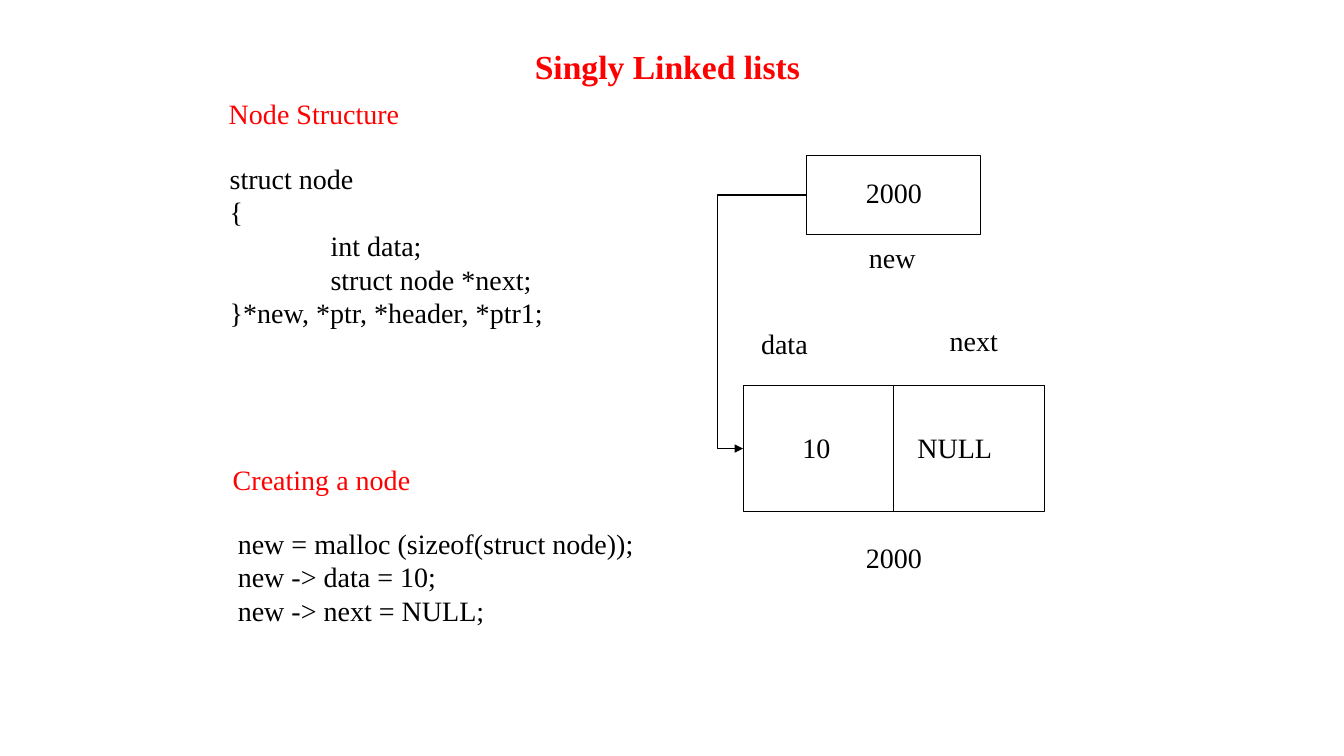
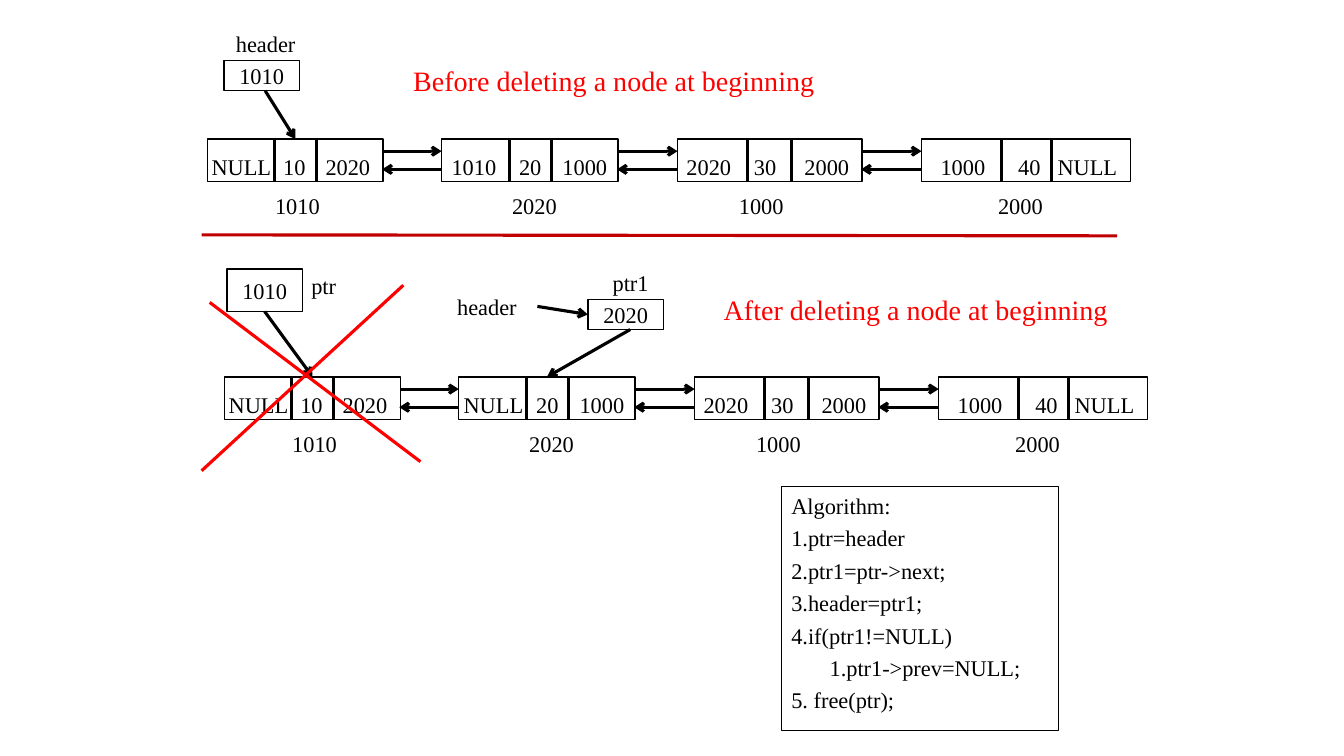
"""Build two slides on singly linked nodes and on deletion at the beginning."""
from lxml import etree
from pptx import Presentation
from pptx.dml.color import RGBColor
from pptx.enum.shapes import MSO_CONNECTOR, MSO_SHAPE
from pptx.enum.text import MSO_ANCHOR, MSO_AUTO_SIZE, PP_ALIGN
from pptx.oxml.ns import qn
from pptx.util import Inches, Pt

RECT = MSO_SHAPE.RECTANGLE
STRAIGHT, ELBOW = MSO_CONNECTOR.STRAIGHT, MSO_CONNECTOR.ELBOW
MIDDLE, TOP_ANCHOR = MSO_ANCHOR.MIDDLE, MSO_ANCHOR.TOP
CENTER, LEFT_ALIGN = PP_ALIGN.CENTER, PP_ALIGN.LEFT
FIT = MSO_AUTO_SIZE.SHAPE_TO_FIT_TEXT
TOP, LEFT, BOTTOM, RIGHT = range(4)

FONT = "Times New Roman"
COLORS = {"black": "000000", "white": "FFFFFF", "red": "FF0000", "rule": "C00000"}
HEAVY = 2.25
ROW_H = 0.42

# Each node: left, width, divider positions, (left, text) of its cells, label left, label
NODES = [
    (2.06, 1.74, (2.72, 3.14), ((2.0, "NULL"), (2.71, "10"), (3.13, "2020")), 2.63, "1010"),
    (4.38, 1.75, (5.05, 5.47), ((4.38, "1010"), (5.05, "20"), (5.48, "1000")), 4.98, "2020"),
    (6.72, 1.83, (7.41, 7.85), ((6.71, "2020"), (7.38, "30"), (7.88, "2000")), 7.23, "1000"),
    (9.14, 2.07, (9.93, 10.43), ((9.23, "1000"), (10.0, "40"), (10.39, "NULL")), 9.8, "2000"),
]
ALGORITHM = ["Algorithm:", "1.ptr=header", "2.ptr1=ptr->next;", "3.header=ptr1;",
             "4.if(ptr1!=NULL)", "\t1.ptr1->prev=NULL;", "5. free(ptr);"]


def rgb(name):
    """Return the named colour."""
    return RGBColor.from_string(COLORS[name])


def style_text(tf, size, color="black", align=LEFT_ALIGN, bold=False):
    """Format every paragraph and run of a text frame."""
    for p in tf.paragraphs:
        p.alignment = align
        p._p.get_or_add_pPr().set("defTabSz", str(Inches(1)))
        for r in p.runs:
            r.font.name = FONT
            r.font.size = Pt(size)
            r.font.bold = bold
            r.font.color.rgb = rgb(color)


def add_text(s, x, y, w, h, text, size=20, color="black"):
    """Add an unwrapped text box."""
    tf = s.shapes.add_textbox(Inches(x), Inches(y), Inches(w), Inches(h)).text_frame
    tf.word_wrap = False
    tf.auto_size = FIT
    tf.text = text
    style_text(tf, size, color)


def add_value(s, x, y, text):
    """Add a small node value, sized by its text."""
    width = 0.82 if text == "NULL" else 0.43 if len(text) == 2 else 0.65
    add_text(s, x, y, width, 0.37, text, 16)


def add_box(s, x, y, w, h, text="", line="black", weight=1, fill="white"):
    """Add a rectangle with optional centred text."""
    sp = s.shapes.add_shape(RECT, Inches(x), Inches(y), Inches(w), Inches(h))
    sp.shadow.inherit = False
    if fill:
        sp.fill.solid()
        sp.fill.fore_color.rgb = rgb(fill)
    else:
        sp.fill.background()
    sp.line.color.rgb = rgb(line)
    sp.line.width = Pt(weight)
    if text:
        tf = sp.text_frame
        tf.text = text
        tf.vertical_anchor = MIDDLE
        style_text(tf, 16, align=CENTER)
    return sp


def add_line(s, start, end, color="black", weight=HEAVY, head=None, kind=STRAIGHT,
             begin_at=None, end_at=None):
    """Add a connector, optionally with an arrowhead and joined ends."""
    c = s.shapes.add_connector(kind, *(Inches(v) for v in (*start, *end)))
    if begin_at:
        c.begin_connect(*begin_at)
    if end_at:
        c.end_connect(*end_at)
    c.line.color.rgb = rgb(color)
    c.line.width = Pt(weight)
    sp_pr = c.element.spPr
    if head:
        etree.SubElement(sp_pr.find(qn("a:ln")), qn("a:tailEnd"), type=head)
    etree.SubElement(sp_pr, qn("a:effectLst"))
    return c


def set_bend(connector, ratio):
    """Place the bend of an elbow connector."""
    geom = connector.element.spPr.find(qn("a:prstGeom"))
    guides = geom.find(qn("a:avLst"))
    if guides is None:
        guides = etree.SubElement(geom, qn("a:avLst"))
    etree.SubElement(guides, qn("a:gd"), name="adj1", fmla=f"val {round(ratio * 100000)}")


def add_title(s, text):
    """Place and format the title placeholder."""
    title = s.shapes.title
    title.left, title.top, title.width, title.height = (
        Inches(v) for v in (2.41, 0.44, 8.42, 0.48))
    tf = title.text_frame
    tf.text = text
    tf.vertical_anchor = MIDDLE
    tf.paragraphs[0].line_spacing = 0.9
    style_text(tf, 24, "red", CENTER, True)


def add_node_row(s, nodes, top, shift=0):
    """Draw a doubly linked row of nodes and return their boxes."""
    boxes = []
    for left, width, dividers, cells, label_x, label in nodes:
        boxes.append(add_box(s, left + shift, top, width, ROW_H))
        for x in dividers:
            add_line(s, (x + shift, top), (x + shift, top + ROW_H))
        for x, text in cells:
            add_value(s, x + shift, top + 0.09, text)
        add_value(s, label_x + shift, top + 0.48, label)
    for node, following in zip(nodes, nodes[1:]):
        x1, x2 = node[0] + node[1] + shift, following[0] + shift
        add_line(s, (x1, top + 0.12), (x2, top + 0.12), head="arrow")
        add_line(s, (x2, top + 0.3), (x1 - 0.01, top + 0.3), head="arrow")
    return boxes


def add_algorithm(s):
    """Add the framed algorithm steps."""
    tf = add_box(s, 7.75, 4.83, 2.75, 2.42, "\n".join(ALGORITHM), weight=0.75,
                 fill=None).text_frame
    tf.vertical_anchor = TOP_ANCHOR
    style_text(tf, 16)
    for p in tf.paragraphs:
        p.space_before = Pt(4)
        p_pr = p._p.get_or_add_pPr()
        p_pr.set("marL", str(Inches(0.38)))
        p_pr.set("indent", str(-Inches(0.38)))


def build_node_slide(prs):
    """Build the slide on node structure and creation."""
    s = prs.slides.add_slide(prs.slide_layouts[5])
    add_title(s, "Singly Linked lists")
    node = add_box(s, 7.37, 3.82, 2.99, 1.26, weight=0.75)
    new = add_box(s, 8, 1.54, 1.73, 0.79, weight=0.75)
    add_text(s, 2.17, 0.91, 1.91, 0.44, "Node Structure", color="red")
    add_text(s, 2.18, 1.55, 3.33, 1.78,
             "struct node\n{\n\tint data;\n\tstruct node *next;\n}*new, *ptr, *header, *ptr1;")
    add_text(s, 2.21, 4.54, 1.98, 0.44, "Creating a node", color="red")
    add_text(s, 2.26, 5.17, 4.15, 1.11,
             "new = malloc (sizeof(struct node));\nnew -> data = 10;\nnew -> next = NULL;")
    for x, y, w, text in [(7.45, 3.19, 0.67, "data"), (9.32, 3.16, 0.68, "next"),
                          (8.49, 5.31, 0.76, "2000"), (7.86, 4.22, 0.48, "10"),
                          (8.52, 2.34, 0.69, "new"), (8.49, 1.69, 0.76, "2000"),
                          (9, 4.22, 0.98, "NULL")]:
        add_text(s, x, y, w, 0.44, text)
    pointer = add_line(s, (8, 1.93), (7.37, 4.45), weight=0.75, head="triangle", kind=ELBOW,
                       begin_at=(new, LEFT), end_at=(node, LEFT))
    set_bend(pointer, 1.4)
    add_line(s, (8.87, 3.82), (8.87, 5.08), weight=0.75,
             begin_at=(node, TOP), end_at=(node, BOTTOM))


def build_deletion_slide(prs):
    """Build the slide showing the list before and after a deletion."""
    s = prs.slides.add_slide(prs.slide_layouts[6])
    add_algorithm(s)

    add_box(s, 2.05, 0.25, 1.17, 0.36, "header", line="white")
    before = add_node_row(s, NODES, 1.38)
    add_box(s, 2.22, 0.6, 0.75, 0.3, "1010")
    add_line(s, (2.63, 0.9), (2.93, 1.38), head="arrow", end_at=(before[0], TOP))

    add_box(s, 5.67, 2.62, 1.17, 0.36, "ptr1", line="white")
    add_box(s, 2.92, 2.58, 0.58, 0.5, "ptr", line="white")
    left, width, dividers, cells, label_x, label = NODES[1]
    new_first = (left, width, dividers, ((4.33, "NULL"), *cells[1:]), label_x, label)
    after = add_node_row(s, [NODES[0], new_first, *NODES[2:]], 3.74, 0.17)
    ptr1 = add_box(s, 5.83, 2.97, 0.75, 0.3, "2020")
    add_line(s, (6.25, 3.27), (5.42, 3.74), head="arrow", end_at=(after[1], TOP))
    ptr = add_box(s, 2.25, 2.67, 0.75, 0.42, "1010")
    add_line(s, (2.63, 3.08), (3.1, 3.74), head="arrow",
             begin_at=(ptr, BOTTOM), end_at=(after[0], TOP))
    header = add_box(s, 4.33, 2.83, 1, 0.42, "header", line="white")
    add_line(s, (5.33, 3.04), (5.83, 3.12), head="arrow",
             begin_at=(header, RIGHT), end_at=(ptr1, LEFT))

    add_line(s, (2.08, 3), (4.17, 4.58), "red")
    add_line(s, (4, 2.83), (2, 4.67), "red")
    add_text(s, 4, 0.58, 4.21, 0.44, "Before deleting a node at beginning", color="red")
    add_text(s, 7.08, 2.85, 4.04, 0.44, "After deleting a node at beginning", color="red")
    add_line(s, (2, 2.33), (11.08, 2.34), "rule")


def main():
    """Build and save the presentation."""
    prs = Presentation()
    prs.slide_width, prs.slide_height = Inches(13.33), Inches(7.5)
    build_node_slide(prs)
    build_deletion_slide(prs)
    prs.save("out.pptx")


if __name__ == "__main__":
    main()
